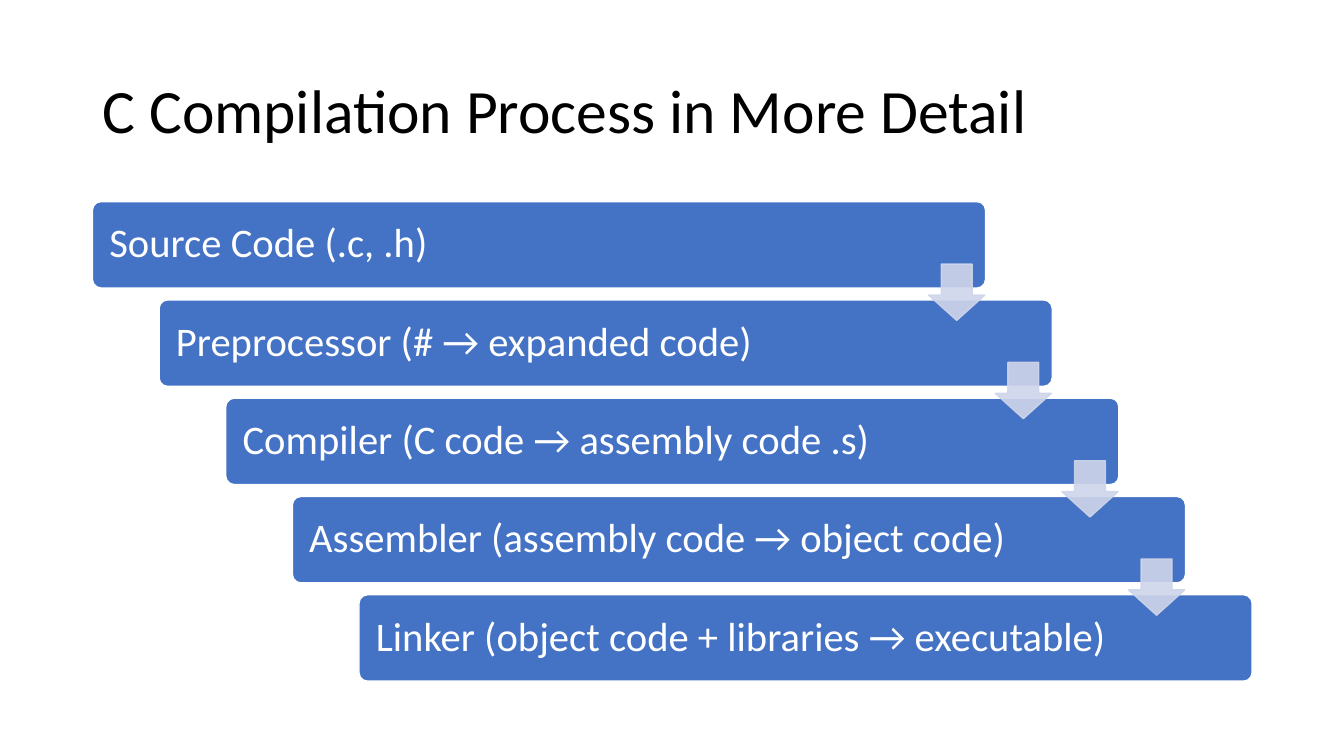
"""Build a slide that shows the C build steps as a staircase."""
from dataclasses import dataclass

import lxml.etree
import pptx
import pptx.dml.color
import pptx.enum.shapes
import pptx.enum.text
import pptx.oxml.ns
import pptx.util

Pt = pptx.util.Pt
Shape = pptx.enum.shapes.MSO_SHAPE


@dataclass(frozen=True)
class Theme:
    font: str = "Calibri"
    black: str = "000000"
    white: str = "FFFFFF"
    blue: str = "4472C4"
    pale: str = "CFD5EA"
    title_size: float = 44
    step_size: float = 29
    line_width: float = 1
    alpha: int = 90


@dataclass(frozen=True)
class Box:
    left: float
    top: float
    width: float
    height: float

    def shift(self, index: int) -> "Box":
        return Box(self.left + index * STEP_X, self.top + index * STEP_Y,
                   self.width, self.height)

    def place(self) -> tuple:
        return Pt(self.left), Pt(self.top), Pt(self.width), Pt(self.height)


@dataclass(frozen=True)
class Block:
    kind: Shape
    box: Box
    fill: str
    line: str
    ratios: tuple
    text: str = ""
    alpha: int = 100


THEME = Theme()
STEP_X, STEP_Y = 47.6, 70.2
TITLE_BOX = Box(66, 28.75, 828, 104.4)
BAR_BOX = Box(66, 144, 638, 61.8)
ARROW_BOX = Box(663.3, 188.7, 40.2, 40.2)
INSET = 10.3
STEPS = (
    "Source Code (.c, .h)",
    "Preprocessor (# → expanded code)",
    "Compiler (C code → assembly code .s)",
    "Assembler (assembly code → object code)",
    "Linker (object code + libraries → executable)",
)


def write(frame, text: str, size: float, colour: str) -> None:
    frame.text = text
    frame.word_wrap = True
    frame.auto_size = pptx.enum.text.MSO_AUTO_SIZE.NONE
    frame.vertical_anchor = pptx.enum.text.MSO_ANCHOR.MIDDLE
    line = frame.paragraphs[0]
    line.alignment = pptx.enum.text.PP_ALIGN.LEFT
    line.line_spacing = 0.9
    font = line.runs[0].font
    font.name = THEME.font
    font.size = Pt(size)
    font.color.rgb = pptx.dml.color.RGBColor.from_string(colour)


def draw(slide, block: Block) -> None:
    shape = slide.shapes.add_shape(block.kind, *block.box.place())
    shape.shadow.inherit = False
    for index, ratio in enumerate(block.ratios):
        shape.adjustments[index] = ratio
    shape.fill.solid()
    shape.fill.fore_color.rgb = pptx.dml.color.RGBColor.from_string(block.fill)
    shape.line.color.rgb = pptx.dml.color.RGBColor.from_string(block.line)
    shape.line.width = Pt(THEME.line_width)
    if block.alpha < 100:
        qn = pptx.oxml.ns.qn
        for colour in shape.element.spPr.iter(qn("a:srgbClr")):
            alpha = lxml.etree.SubElement(colour, qn("a:alpha"))
            alpha.set("val", str(block.alpha * 1000))
    if block.text:
        frame = shape.text_frame
        frame.margin_left = frame.margin_right = Pt(INSET)
        write(frame, block.text, THEME.step_size, THEME.white)


def main() -> None:
    deck = pptx.Presentation()
    deck.slide_width, deck.slide_height = Pt(960), Pt(540)
    slide = deck.slides.add_slide(deck.slide_layouts.get_by_name("Title Only"))
    title = slide.shapes.title
    title.left, title.top, title.width, title.height = TITLE_BOX.place()
    write(title.text_frame, "C Compilation Process in More Detail",
          THEME.title_size, THEME.black)
    bars = [Block(Shape.ROUNDED_RECTANGLE, BAR_BOX.shift(index), THEME.blue,
                  THEME.white, (0.1,), text)
            for index, text in enumerate(STEPS)]
    arrows = [Block(Shape.DOWN_ARROW, ARROW_BOX.shift(index), THEME.pale,
                    THEME.pale, (0.55, 0.45), alpha=THEME.alpha)
              for index in range(len(STEPS) - 1)]
    for block in bars + arrows:
        draw(slide, block)
    deck.save("out.pptx")


if __name__ == "__main__":
    main()
